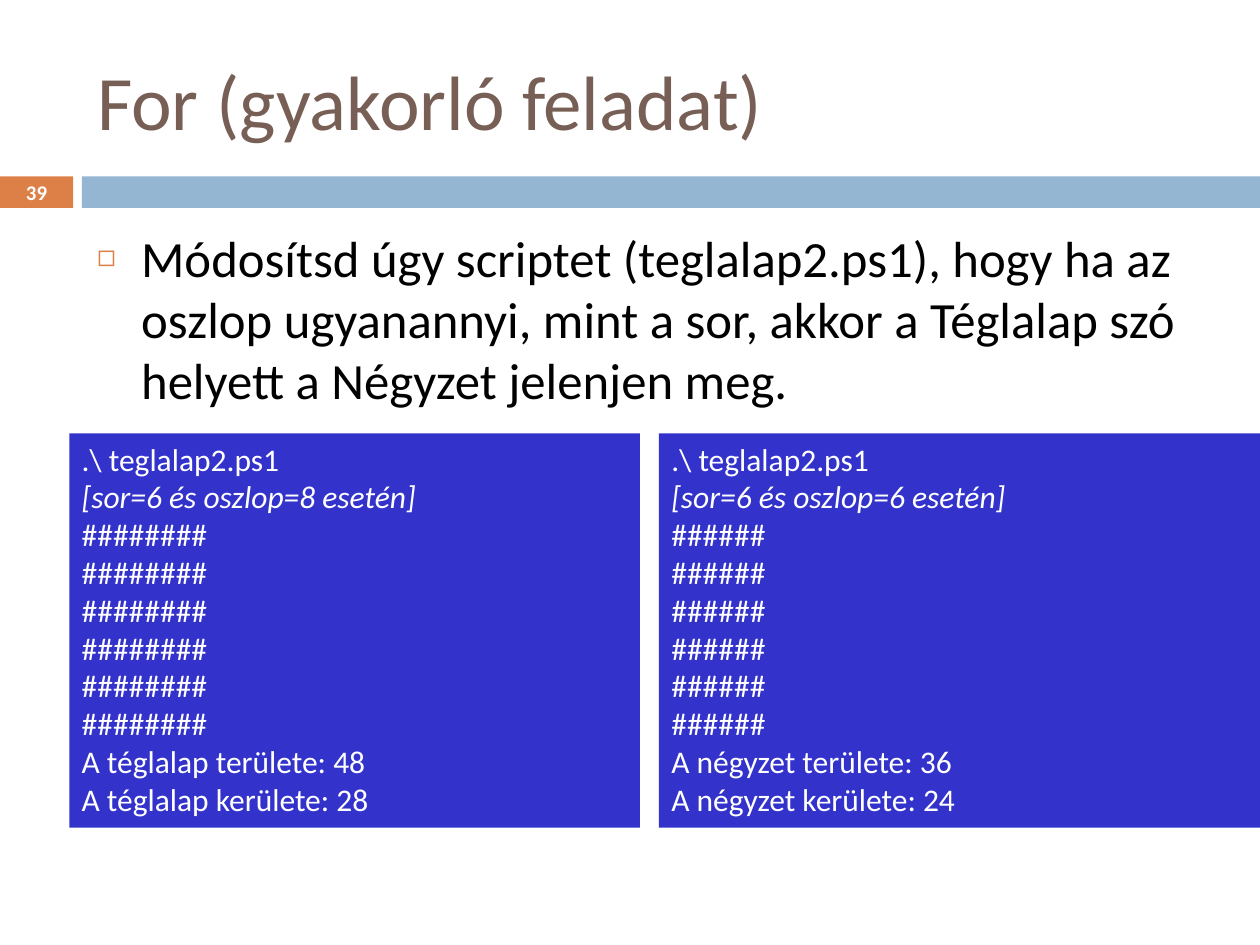
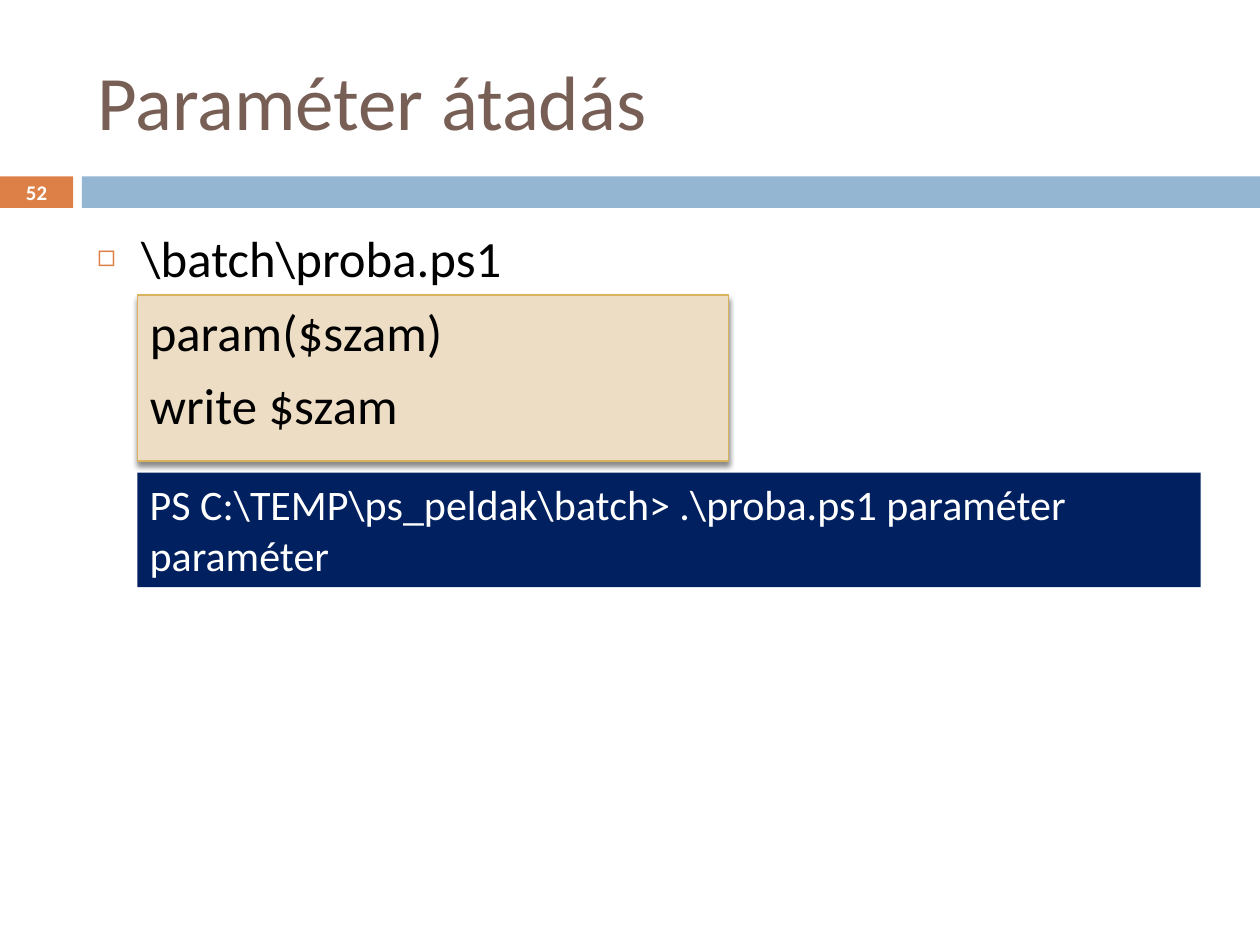
from dataclasses import dataclass

from lxml import etree
from pptx import Presentation
from pptx import util as u
from pptx.dml.color import RGBColor
from pptx.enum import shapes, text
from pptx.oxml import ns


@dataclass(frozen=True)
class Theme:
    font: str = "Calibri"
    head: str = "775F55"
    ink: str = "000000"
    white: str = "FFFFFF"
    rust: str = "DD8047"
    sky: str = "94B6D2"
    blue: str = "3333CC"
    navy: str = "002060"
    sand: str = "EDDDC4"
    gold: str = "D8B25C"
    title: float = 44
    body: float = 29
    shell: float = 24
    code: float = 18
    page: float = 11.9
    gap: float = 7


@dataclass(frozen=True)
class Area:
    left: float
    top: float
    width: float
    height: float

    def spans(self) -> list[u.Length]:
        return [u.Inches(n) for n in (self.left, self.top, self.width, self.height)]


@dataclass(frozen=True)
class Box:
    area: Area
    fill: str
    size: float
    ink: str
    lines: tuple[str, ...]
    note: str = ""
    raised: bool = False


@dataclass(frozen=True)
class Page:
    number: int
    title: str
    task: str
    boxes: tuple[Box, ...]


LOOK = Theme()
BANDS = (
    (Area(0, 1.4, 0.58, 0.25), LOOK.rust),
    (Area(0.65, 1.4, 9.35, 0.25), LOOK.sky),
)
TITLE = Area(0.67, 0.25, 8.92, 1.08)
BODY = Area(0.67, 1.75, 8.92, 4.92)
BADGE = Area(0, 1.39, 0.58, 0.27)


def tag(parent, name: str, **attrs):
    return etree.SubElement(parent, ns.qn(name), {k: str(v) for k, v in attrs.items()})


def style(par, size: float, ink: str, bold: bool = False) -> None:
    par.font.name = LOOK.font
    par.font.size = u.Pt(size)
    par.font.bold = bold
    par.font.color.rgb = RGBColor.from_string(ink)


def hang(par) -> None:
    par.space_before = u.Pt(LOOK.gap)
    props = par._p.get_or_add_pPr()
    props.set("marL", str(u.Inches(0.35)))
    props.set("indent", str(u.Inches(-0.35)))


def bullet(par) -> None:
    props = par._p.get_or_add_pPr()
    tag(tag(props, "a:buClr"), "a:srgbClr", val=LOOK.rust)
    tag(props, "a:buSzPct", val=60000)
    tag(props, "a:buChar", char="◻")


def place(shape, area: Area) -> None:
    shape.left, shape.top, shape.width, shape.height = area.spans()


def block(slide, area: Area, fill: str):
    shape = slide.shapes.add_shape(shapes.MSO_SHAPE.RECTANGLE, *area.spans())
    shape.shadow.inherit = False
    shape.fill.solid()
    shape.fill.fore_color.rgb = RGBColor.from_string(fill)
    shape.line.fill.background()
    return shape


def raise_up(shape) -> None:
    shape.line.color.rgb = RGBColor.from_string(LOOK.gold)
    shape.line.width = u.Pt(0.79)
    glow = tag(
        shape.element.spPr.find(ns.qn("a:effectLst")), "a:outerShdw",
        blurRad=u.Pt(3), dist=u.Pt(2.4), dir=90 * 60000, rotWithShape=0,
    )
    tag(tag(glow, "a:srgbClr", val=LOOK.ink), "a:alpha", val=45000)


def draw_box(slide, box: Box) -> None:
    shape = block(slide, box.area, box.fill)
    frame = shape.text_frame
    frame.word_wrap = True
    frame.vertical_anchor = text.MSO_ANCHOR.TOP
    frame.text = "\n".join(box.lines)
    for par in frame.paragraphs:
        par.alignment = text.PP_ALIGN.LEFT
        style(par, box.size, box.ink)
        if box.raised:
            hang(par)
    if box.note:
        first = frame.paragraphs[0]
        first.add_line_break()
        run = first.add_run()
        run.text = box.note
        run.font.italic = True
    if box.raised:
        raise_up(shape)
    else:
        frame.auto_size = text.MSO_AUTO_SIZE.SHAPE_TO_FIT_TEXT


def draw_badge(slide, number: int) -> None:
    frame = slide.shapes.add_textbox(*BADGE.spans()).text_frame
    frame.word_wrap = True
    frame.vertical_anchor = text.MSO_ANCHOR.MIDDLE
    par = frame.paragraphs[0]
    par.text = str(number)
    par.alignment = text.PP_ALIGN.CENTER
    style(par, LOOK.page, LOOK.white, bold=True)


def set_bands(slide, layout) -> None:
    tree = layout.shapes.element
    for rank, (area, fill) in enumerate(BANDS):
        band = block(slide, area, fill).element
        band.nvSpPr.cNvPr.set("id", str(20 + rank))
        tree.insert(2 + rank, band)


def draw_page(slide, page: Page) -> None:
    title, body = slide.placeholders
    place(title, TITLE)
    title.text_frame.text = page.title
    title.text_frame.vertical_anchor = text.MSO_ANCHOR.MIDDLE
    head = title.text_frame.paragraphs[0]
    head.alignment = text.PP_ALIGN.LEFT
    style(head, LOOK.title, LOOK.head)
    draw_badge(slide, page.number)
    place(body, BODY)
    body.text_frame.text = page.task
    for frame in (title.text_frame, body.text_frame):
        frame.auto_size = text.MSO_AUTO_SIZE.NONE
    item = body.text_frame.paragraphs[0]
    style(item, LOOK.body, LOOK.ink)
    hang(item)
    bullet(item)
    for box in page.boxes:
        draw_box(slide, box)


def trial(left: float, width: float, rows: int, cols: int, name: str) -> Box:
    return Box(
        Area(left, 3.44, width, 3.13), LOOK.blue, LOOK.code, LOOK.white,
        (
            ".\\ teglalap2.ps1",
            *["#" * cols] * rows,
            f"A {name} területe: {rows * cols}",
            f"A {name} kerülete: {2 * (rows + cols)}",
        ),
        note=f"[sor={rows} és oszlop={cols} esetén]",
    )


PAGES = (
    Page(
        39, "For (gyakorló feladat)",
        "Módosítsd úgy scriptet (teglalap2.ps1), hogy ha az oszlop ugyanannyi, "
        "mint a sor, akkor a Téglalap szó helyett a Négyzet jelenjen meg.",
        (trial(0.55, 4.53, 6, 8, "téglalap"), trial(5.23, 5, 6, 6, "négyzet")),
    ),
    Page(
        52, "Paraméter átadás", "\\batch\\proba.ps1",
        (
            Box(
                Area(1.09, 2.34, 4.69, 1.32), LOOK.sand, LOOK.body, LOOK.ink,
                ("param($szam)", "write $szam"), raised=True,
            ),
            Box(
                Area(1.09, 3.75, 8.44, 0.91), LOOK.navy, LOOK.shell, LOOK.white,
                ("PS C:\\TEMP\\ps_peldak\\batch> .\\proba.ps1 paraméter", "paraméter"),
            ),
        ),
    ),
)


def main() -> None:
    deck = Presentation()
    deck.slide_width, deck.slide_height = u.Inches(10), u.Inches(7.5)
    layout = deck.slide_layouts[1]
    slides = [deck.slides.add_slide(layout) for _ in PAGES]
    set_bands(slides[0], layout)
    for slide, page in zip(slides, PAGES):
        draw_page(slide, page)
    deck.save("out.pptx")


main()
